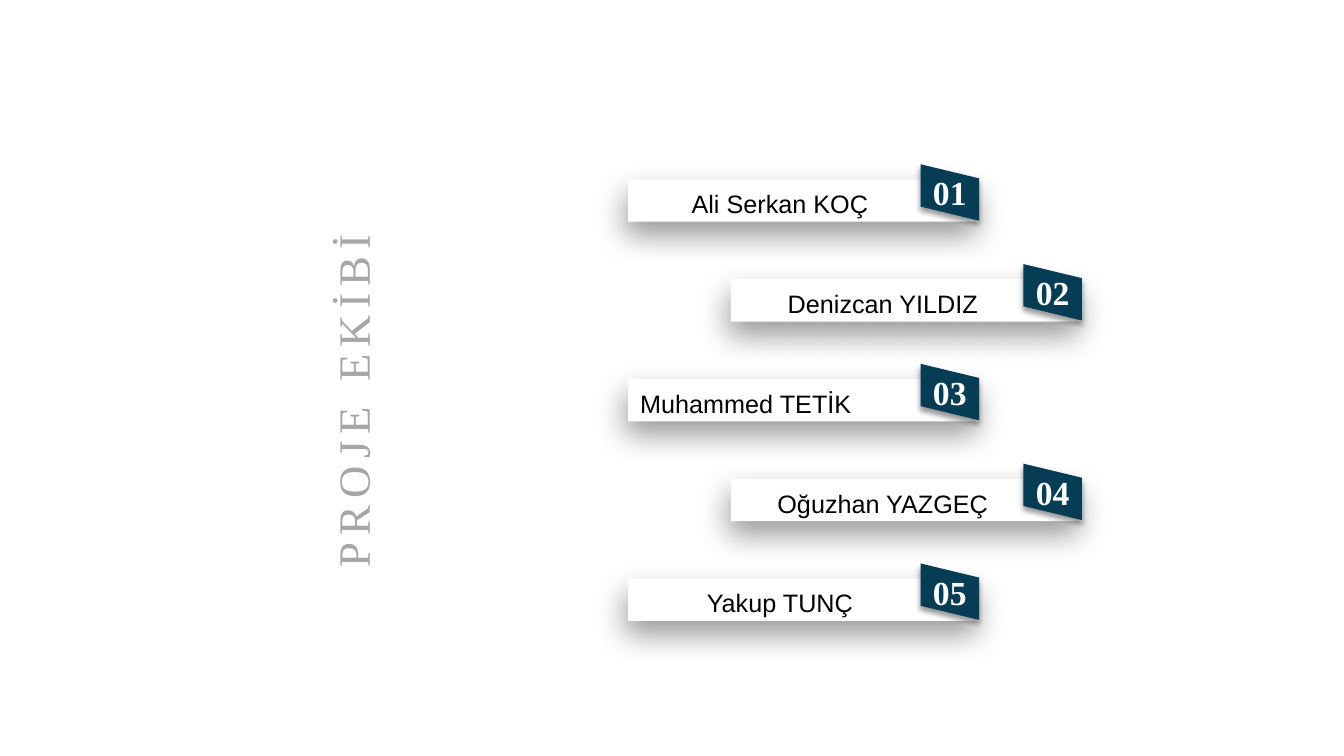
from lxml import etree
from pptx import Presentation
from pptx.dml.color import RGBColor
from pptx.enum import shapes, text
from pptx.oxml import ns
from pptx.util import Inches, Pt

MEMBERS = ["Ali Serkan KOÇ", "Denizcan YILDIZ", "Muhammed TETİK",
           "Oğuzhan YAZGEÇ", "Yakup TUNÇ"]
LEFT_ALIGNED = "Muhammed TETİK"
FIRST_TOP, ROW_STEP = 1.78, 0.99
BAR_LEFTS = (6.23, 7.25)
BAR_WIDTH, BAR_HEIGHT = 3.48, 0.42
TAG_WIDTH, TAG_SLANT, TAG_RISE = 0.58, 0.14, 0.15


def color(value):
    return RGBColor.from_string(value)


class TeamSlide:
    NAME_FONT, DISPLAY_FONT = "Arial", "Times New Roman"
    WHITE, NAVY, GRAY, BLACK = "FFFFFF", "063D54", "A6A6A6", "000000"

    def __init__(self, deck):
        self.shapes = deck.slides.add_slide(deck.slide_layouts[6]).shapes

    def paint(self, shape, fill, blur, distance, angle):
        """Fill the shape, drop its outline and give it a soft black shadow."""
        shape.fill.solid()
        shape.fill.fore_color.rgb = color(fill)
        shape.line.fill.background()
        shape.shadow.inherit = False
        effects = shape._element.spPr.find(ns.qn("a:effectLst"))
        shadow = etree.SubElement(
            effects, ns.qn("a:outerShdw"), blurRad=str(Pt(blur)),
            dist=str(Pt(distance)), dir=str(angle * 60000),
            algn="t", rotWithShape="0")
        black = etree.SubElement(shadow, ns.qn("a:srgbClr"), val=self.BLACK)
        etree.SubElement(black, ns.qn("a:alpha"), val="40000")

    def set_text(self, shape, words, font, size, ink, bold=False,
                 align=text.PP_ALIGN.CENTER):
        frame = shape.text_frame
        frame.vertical_anchor = text.MSO_ANCHOR.MIDDLE
        para = frame.paragraphs[0]
        para.text = words
        para.alignment = align
        para.font.name = font
        para.font.size = Pt(size)
        para.font.bold = bold
        para.font.color.rgb = color(ink)
        return para

    def name_bar(self, left, top, name):
        bar = self.shapes.add_shape(
            shapes.MSO_SHAPE.RECTANGLE, Inches(left), Inches(top),
            Inches(BAR_WIDTH), Inches(BAR_HEIGHT))
        self.paint(bar, self.WHITE, blur=22, distance=10, angle=101)
        frame = bar.text_frame
        frame.word_wrap = True
        frame.margin_left, frame.margin_right = Inches(0.12), Inches(0.59)
        frame.margin_top = frame.margin_bottom = 0
        align = (text.PP_ALIGN.LEFT if name == LEFT_ALIGNED
                 else text.PP_ALIGN.CENTER)
        para = self.set_text(bar, name, self.NAME_FONT, 18, self.BLACK, align=align)
        para.line_spacing = 1.2

    def number_tag(self, right, top, number):
        """Draw a slanted tag whose right edge stands at the given place."""
        left = right - TAG_WIDTH
        corners = [(left, top), (left, top + BAR_HEIGHT),
                   (right, top + BAR_HEIGHT + TAG_SLANT), (right, top + TAG_SLANT)]
        points = [(Inches(x), Inches(y)) for x, y in corners]
        builder = self.shapes.build_freeform(*points[0])
        builder.add_line_segments(points[1:], close=True)
        tag = builder.convert_to_shape()
        self.paint(tag, self.NAVY, blur=4, distance=3, angle=90)
        self.set_text(tag, f"{number:02}", self.DISPLAY_FONT, 24, self.WHITE,
                      bold=True)

    def side_title(self, words):
        box = self.shapes.add_textbox(
            Inches(1.59), Inches(3.62), Inches(3.8), Inches(0.71))
        box.rotation = 270
        box.text_frame.word_wrap = False
        para = self.set_text(box, words, self.DISPLAY_FONT, 32, self.GRAY)
        para.runs[0]._r.get_or_add_rPr().set("spc", "500")


def main():
    deck = Presentation()
    deck.slide_width, deck.slide_height = Inches(13.33), Inches(7.5)
    page = TeamSlide(deck)
    page.side_title("PROJE EKİBİ")
    for index, name in enumerate(MEMBERS):
        left = BAR_LEFTS[index % 2]
        top = FIRST_TOP + index * ROW_STEP
        page.name_bar(left, top, name)
        page.number_tag(left + BAR_WIDTH, top - TAG_RISE, index + 1)
    deck.save("out.pptx")


if __name__ == "__main__":
    main()
